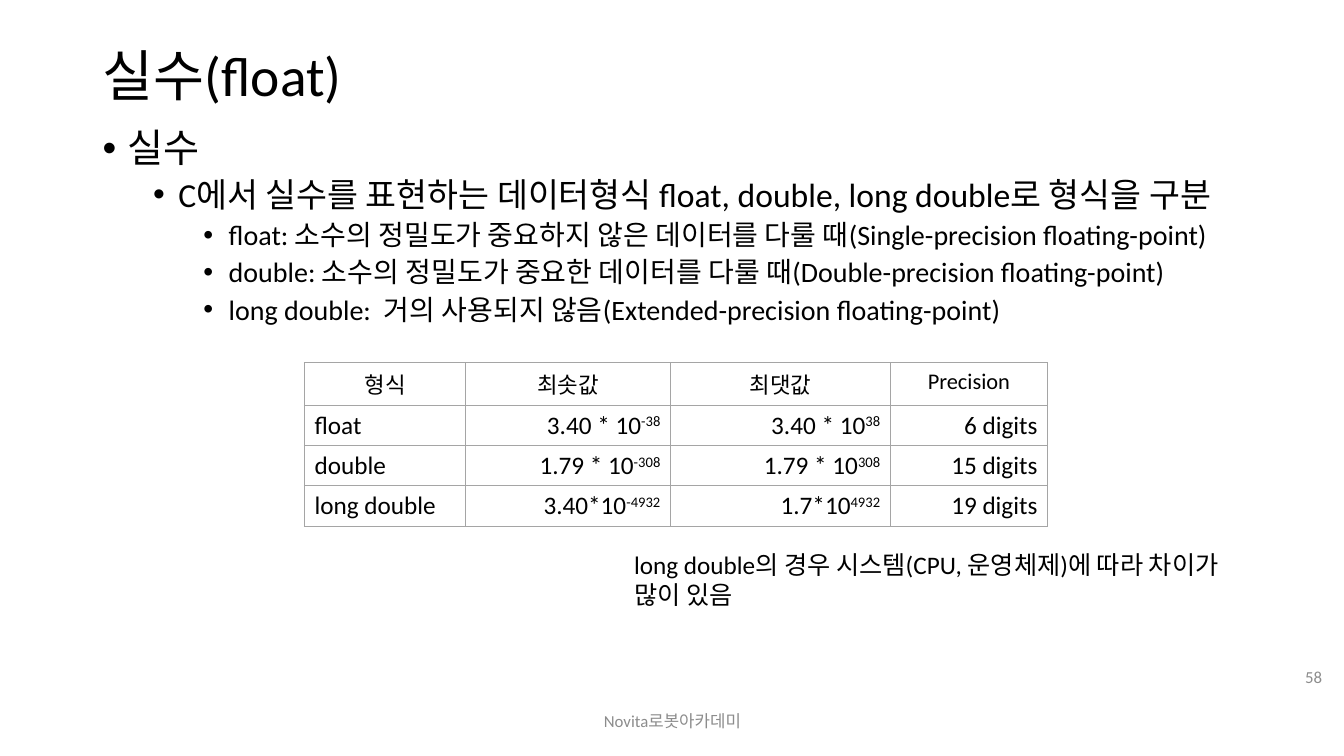
from dataclasses import dataclass

from lxml import etree
from pptx import Presentation
from pptx import util as u
from pptx.dml import color
from pptx.enum import text
from pptx.oxml import ns


@dataclass(frozen=True)
class Theme:
    font: str = "Calibri"
    ink: str = "000000"
    muted: str = "8C8C8C"
    rule: str = "A5A5A5"
    title: float = 39.6
    levels: tuple = (28, 24, 20)
    header: int = 16
    content: int = 18
    small: int = 12


THEME = Theme()
LEFT, CENTER, RIGHT = text.PP_ALIGN.LEFT, text.PP_ALIGN.CENTER, text.PP_ALIGN.RIGHT
TOP, MIDDLE = text.MSO_ANCHOR.TOP, text.MSO_ANCHOR.MIDDLE

OUTLINE = [
    (0, "실수"),
    (1, "C에서 실수를 표현하는 데이터형식 float, double, long double로 형식을 구분"),
    (2, "float: 소수의 정밀도가 중요하지 않은 데이터를 다룰 때(Single-precision floating-point)"),
    (2, "double: 소수의 정밀도가 중요한 데이터를 다룰 때(Double-precision floating-point)"),
    (2, "long double:  거의 사용되지 않음(Extended-precision floating-point)"),
]
HEADINGS = ["형식", "최솟값", "최댓값", "Precision"]
RANGES = [
    ["float", "3.40 * 10^-38", "3.40 * 10^38", "6 digits"],
    ["double", "1.79 * 10^-308", "1.79 * 10^308", "15 digits"],
    ["long double", "3.40*10^-4932", "1.7*10^4932", "19 digits"],
]
COLUMN_WIDTHS = [1.6, 2.03, 2.18, 1.56]
ROW_HEIGHTS = [0.42, 0.4, 0.4, 0.4]


def style(para, size, ink=THEME.ink, align=LEFT):
    para.alignment = align
    para.font.name = THEME.font
    para.font.size = u.Pt(size)
    para.font.color.rgb = color.RGBColor.from_string(ink)


def add_frame(page, box, anchor=TOP):
    frame = page.shapes.add_textbox(*map(u.Inches, box)).text_frame
    frame.word_wrap = True
    frame.vertical_anchor = anchor
    return frame


def add_label(page, box, words, size, ink=THEME.ink, align=LEFT, anchor=MIDDLE):
    para = add_frame(page, box, anchor).paragraphs[0]
    para.text = words
    style(para, size, ink, align)
    return para


def add_bullet(para, level):
    props = para._p.get_or_add_pPr()
    props.set("marL", str(u.Inches(0.25 + 0.5 * level)))
    props.set("indent", str(u.Inches(-0.25)))
    etree.SubElement(props, ns.qn("a:buFont")).set("typeface", "Arial")
    etree.SubElement(props, ns.qn("a:buChar")).set("char", "•")


def add_outline(page, box):
    frame = add_frame(page, box)
    for index, (level, words) in enumerate(OUTLINE):
        para = frame.add_paragraph() if index else frame.paragraphs[0]
        para.text = words
        para.level = level
        para.line_spacing = 0.9
        if index:
            para.space_before = u.Pt(5)
        add_bullet(para, level)
        style(para, THEME.levels[level])


def add_borders(cell):
    props = cell._tc.get_or_add_tcPr()
    for side in ("lnL", "lnR", "lnT", "lnB"):
        line = etree.SubElement(props, ns.qn(f"a:{side}"), w=str(u.Pt(1)))
        fill = etree.SubElement(line, ns.qn("a:solidFill"))
        etree.SubElement(fill, ns.qn("a:srgbClr"), val=THEME.rule)


def fill_cell(cell, words, size, align):
    add_borders(cell)
    cell.fill.background()
    para = cell.text_frame.paragraphs[0]
    base, _, exponent = words.partition("^")
    para.add_run().text = base
    if exponent:
        span = para.add_run()
        span.text = exponent
        span._r.get_or_add_rPr().set("baseline", "30000")
    style(para, size, align=align)


def add_range_table(page, left, top):
    rows = [HEADINGS, *RANGES]
    size = (sum(COLUMN_WIDTHS), sum(ROW_HEIGHTS))
    table = page.shapes.add_table(
        len(rows), len(HEADINGS), *map(u.Inches, (left, top, *size))
    ).table
    table.first_row = table.horz_banding = False
    for column, width in zip(table.columns, COLUMN_WIDTHS):
        column.width = u.Inches(width)
    for r, (values, height) in enumerate(zip(rows, ROW_HEIGHTS)):
        table.rows[r].height = u.Inches(height)
        for c, words in enumerate(values):
            if r == 0:
                size, align = THEME.header, CENTER
            else:
                size, align = THEME.content, RIGHT if c else LEFT
            fill_cell(table.cell(r, c), words, size, align)


def add_footer(page, center_box, number_box):
    add_label(page, center_box, "Novita로봇아카데미", THEME.small, THEME.muted, CENTER)
    add_label(page, number_box, "58", THEME.small, THEME.muted, RIGHT)


def main():
    deck = Presentation()
    deck.slide_width, deck.slide_height = u.Inches(13.33), u.Inches(7.5)
    page = deck.slides.add_slide(deck.slide_layouts[6])
    title = add_label(page, (0.92, 0.4, 11.5, 0.75), "실수(float)", THEME.title)
    title.line_spacing = 0.9
    add_outline(page, (0.92, 1.23, 12.06, 5.53))
    add_footer(page, (4.42, 6.95, 4.5, 0.4), (12.59, 6.51, 0.62, 0.4))
    add_range_table(page, 3.02, 3.6)
    add_label(
        page,
        (6.19, 5.4, 6.08, 0.71),
        "long double의 경우 시스템(CPU, 운영체제)에 따라 차이가 많이 있음",
        THEME.content,
        anchor=TOP,
    )
    deck.save("out.pptx")


if __name__ == "__main__":
    main()
